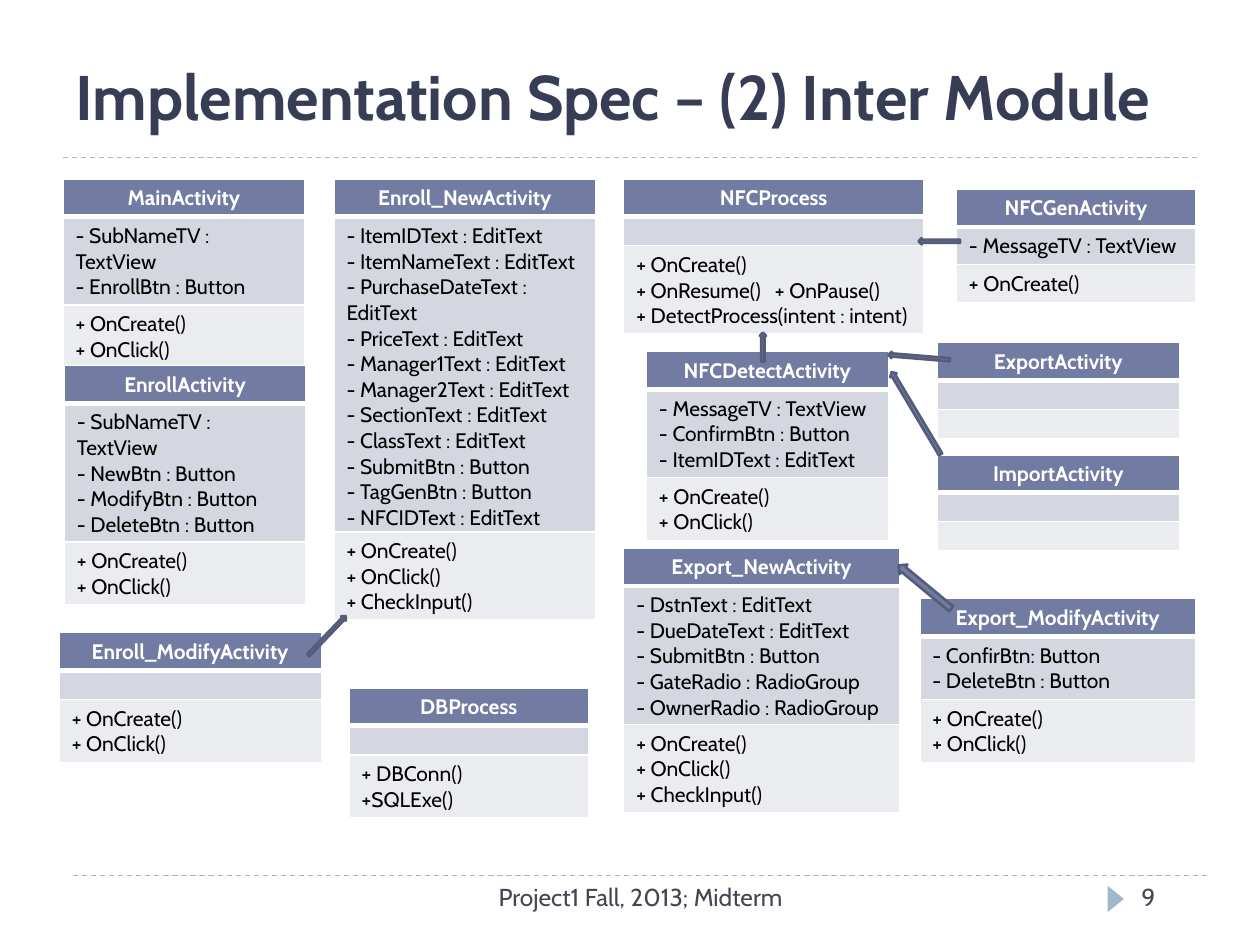
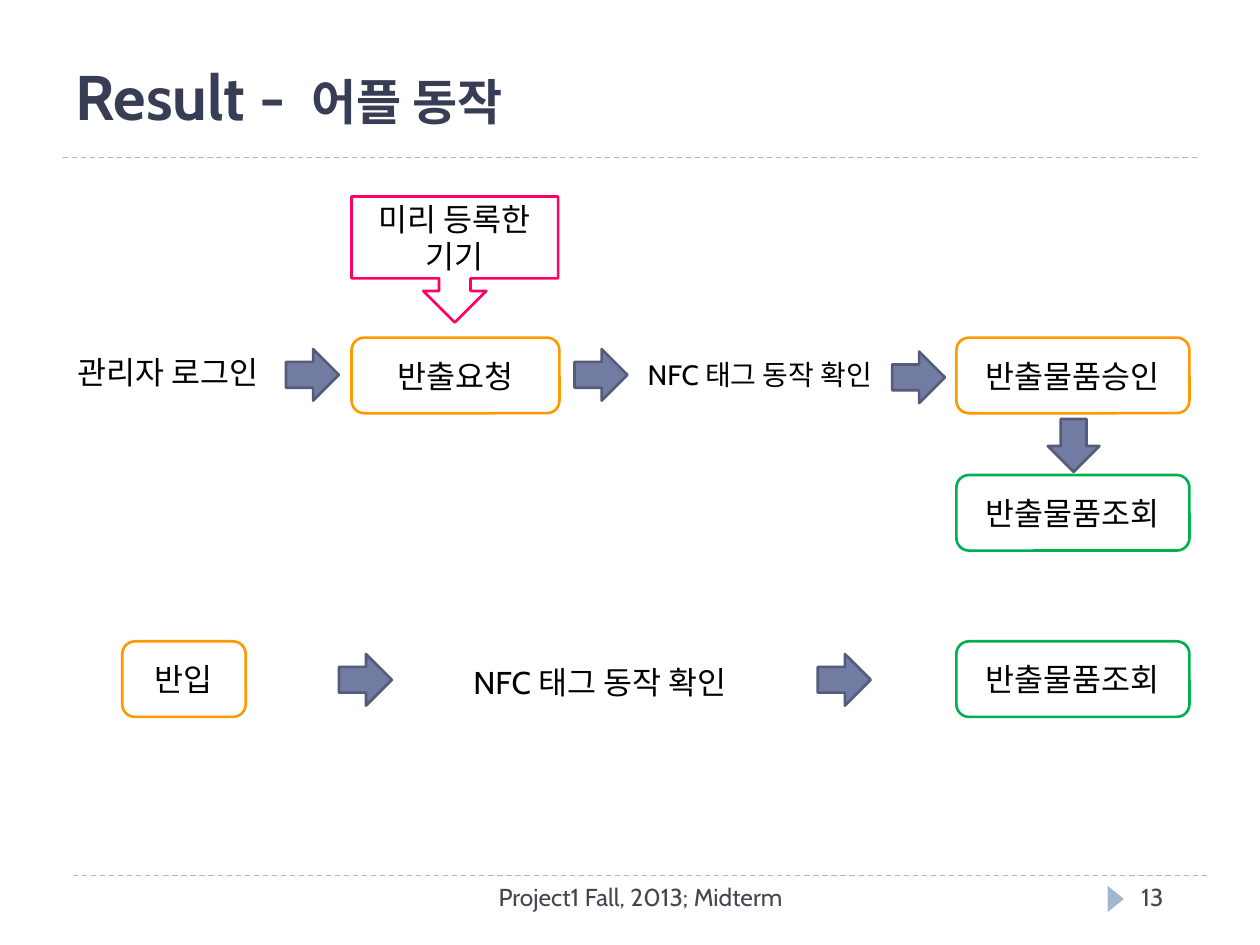
from lxml import etree
from pptx import Presentation
from pptx import util as u
from pptx.dml.color import RGBColor
from pptx.enum import dml, shapes, text
from pptx.oxml import ns

FONT = "Cabin"
SLATE, SLATE_EDGE, PALE_BLUE = "727CA3", "545C79", "9FB8CD"
NAVY, GREY, WHITE, BLACK = "373D54", "464653", "FFFFFF", "000000"
ORANGE, GREEN, PINK = "FF9900", "00B050", "FF0066"
COMPARTMENT_FILLS = [SLATE, "D5D7E0", "EBECF0"]
KINDS = shapes.MSO_SHAPE
CENTER, LEFT = text.PP_ALIGN.CENTER, text.PP_ALIGN.LEFT


def write(paragraph, words, size, color, bold=False, align=LEFT):
    paragraph.alignment = align
    run = paragraph.add_run()
    run.text = words
    run.font.name, run.font.size, run.font.bold = FONT, u.Pt(size), bold
    run.font.color.rgb = RGBColor.from_string(color)


def draw(slide, kind, box, fill, edge=None, turn=0):
    part = slide.shapes.add_shape(kind, *map(u.Inches, box))
    part.shadow.inherit = False
    part.rotation = turn
    part.fill.solid()
    part.fill.fore_color.rgb = RGBColor.from_string(fill)
    if edge:
        part.line.color.rgb = RGBColor.from_string(edge)
        part.line.width = u.Pt(1.5)
    else:
        part.line.fill.background()
    return part


prs = Presentation()
prs.slide_width, prs.slide_height = u.Inches(10), u.Inches(7.5)

pages = [
    ("9", [("Implementation Spec – (2) Inter Module", 36)]),
    ("13", [("Result - ", 36), (" 어플 동작", 28)]),
]
slides = []
for number, title_runs in pages:
    slide = prs.slides.add_slide(prs.slide_layouts[5])
    slides.append(slide)
    for left, top in [(0.58, 6.95), (0.5, 1.25)]:
        rule = slide.shapes.add_connector(
            shapes.MSO_CONNECTOR.STRAIGHT,
            *map(u.Inches, (left, top, left + 9, top)))
        rule.line.color.rgb = RGBColor.from_string(PALE_BLUE)
        rule.line.width = u.Pt(0.75)
        rule.line.dash_style = dml.MSO_LINE.DASH
        etree.SubElement(rule._element.spPr, ns.qn("a:effectLst"))
    draw(slide, KINDS.ISOSCELES_TRIANGLE, (8.75, 7.07, 0.21, 0.13), PALE_BLUE, turn=90)

    title = slide.shapes.title
    title.left, title.top, title.width, title.height = map(u.Inches, (0.5, 0.4, 9, 0.71))
    title.text_frame.vertical_anchor = text.MSO_ANCHOR.BOTTOM
    title.text_frame.auto_size = text.MSO_AUTO_SIZE.NONE
    for words, size in title_runs:
        write(title.text_frame.paragraphs[0], words, size, NAVY, True)

    for words, left, width, align in [
        ("Project1 Fall, 2013; Midterm", 3.17, 3.83, CENTER),
        (number, 8.96, 0.75, LEFT),
    ]:
        footer = slide.shapes.add_textbox(*map(u.Inches, (left, 6.95, width, 0.4)))
        footer.text_frame.word_wrap = True
        write(footer.text_frame.paragraphs[0], words, 14, GREY, align=align)

modules, result = slides

CREATE, CLICK, CHECK = "+ OnCreate()", "+ OnClick()", "+ CheckInput()"
SUB_NAME = "- SubNameTV : TextView"
MESSAGE = "- MessageTV : TextView"
classes = [
    ("MainActivity", 0.5, 1.42, 1.92, [SUB_NAME, "- EnrollBtn : Button"], [CREATE, CLICK]),
    ("EnrollActivity", 0.51, 2.9, 1.92,
     [SUB_NAME, "- NewBtn : Button", "- ModifyBtn : Button", "- DeleteBtn : Button"],
     [CREATE, CLICK]),
    ("Enroll_NewActivity", 2.65, 1.42, 2.08,
     ["- ItemIDText : EditText", "- ItemNameText : EditText",
      "- PurchaseDateText : EditText", "- PriceText : EditText",
      "- Manager1Text : EditText", "- Manager2Text : EditText",
      "- SectionText : EditText", "- ClassText : EditText",
      "- SubmitBtn : Button", "- TagGenBtn : Button", "- NFCIDText : EditText"],
     [CREATE, CLICK, CHECK]),
    ("Enroll_ModifyActivity", 0.47, 5.02, 2.08, [], [CREATE, CLICK]),
    ("NFCProcess", 4.95, 1.42, 2.38, [],
     [CREATE, "+ OnResume()\t+ OnPause()", "+ DetectProcess(intent : intent)"]),
    ("NFCDetectActivity", 5.13, 2.79, 1.92,
     [MESSAGE, "- ConfirmBtn : Button", "- ItemIDText : EditText"], [CREATE, CLICK]),
    ("ExportActivity", 7.44, 2.72, 1.92, [], []),
    ("ImportActivity", 7.44, 3.61, 1.92, [], []),
    ("NFCGenActivity", 7.59, 1.5, 1.9, [MESSAGE], [CREATE]),
    ("DBProcess", 2.77, 5.46, 1.9, [], ["+ DBConn()", "+SQLExe()"]),
    ("Export_NewActivity", 4.95, 4.35, 2.19,
     ["- DstnText : EditText", "- DueDateText : EditText", "- SubmitBtn : Button",
      "- GateRadio : RadioGroup", "- OwnerRadio : RadioGroup"],
     [CREATE, CLICK, CHECK]),
    ("Export_ModifyActivity", 7.3, 4.75, 2.19,
     ["- ConfirBtn: Button", "- DeleteBtn : Button"], [CREATE, CLICK]),
]
for name, left, top, width, fields, methods in classes:
    compartments = [[name], fields, methods]
    heights = [0.1 + 0.2 * len(lines) if lines else 0.23 for lines in compartments]
    card = modules.shapes.add_table(
        3, 1, *map(u.Inches, (left, top, width, sum(heights)))).table
    for row, lines in enumerate(compartments):
        card.rows[row].height = u.Inches(heights[row])
        cell = card.cell(row, 0)
        for side in ("lnL", "lnR", "lnT", "lnB"):
            thick = (row, side) in [(0, "lnB"), (1, "lnT")]
            border = etree.SubElement(cell._tc.get_or_add_tcPr(), ns.qn("a:" + side),
                                      w=str(u.Pt(3 if thick else 1)))
            paint = etree.SubElement(border, ns.qn("a:solidFill"))
            etree.SubElement(paint, ns.qn("a:srgbClr"), val=WHITE)
        cell.fill.solid()
        cell.fill.fore_color.rgb = RGBColor.from_string(COMPARTMENT_FILLS[row])
        for i, line in enumerate(lines):
            frame = cell.text_frame
            paragraph = frame.add_paragraph() if i else frame.paragraphs[0]
            if row == 0:
                write(paragraph, line, 12, WHITE, True, CENTER)
            else:
                write(paragraph, line, 12, BLACK)
            if "\t" in line:
                stops = etree.SubElement(paragraph._p.get_or_add_pPr(), ns.qn("a:tabLst"))
                etree.SubElement(stops, ns.qn("a:tab"), pos=str(u.Inches(1.1)), algn="l")
        if not lines:
            etree.SubElement(cell.text_frame.paragraphs[0]._p,
                             ns.qn("a:endParaRPr"), sz="700")

for kind, box, turn in [
    (KINDS.RIGHT_ARROW, (2.38, 5.02, 0.43, 0.05), 313.8),
    (KINDS.UP_ARROW, (6.03, 2.64, 0.05, 0.23), 0),
    (KINDS.LEFT_ARROW, (7.29, 1.89, 0.33, 0.05), 0),
    (KINDS.LEFT_ARROW, (7.05, 2.81, 0.49, 0.05), 4.7),
    (KINDS.LEFT_ARROW, (6.89, 3.25, 0.76, 0.06), 59.2),
    (KINDS.LEFT_ARROW, (7.07, 4.61, 0.54, 0.1), 39.6),
]:
    draw(modules, kind, box, SLATE, SLATE_EDGE, turn)

ROUND = KINDS.ROUNDED_RECTANGLE
for words, kind, box, edge in [
    ("반출요청", ROUND, (2.79, 2.68, 1.65, 0.6), ORANGE),
    ("반출물품조회", ROUND, (7.59, 3.77, 1.85, 0.6), GREEN),
    ("반출물품승인", ROUND, (7.59, 2.68, 1.85, 0.6), ORANGE),
    ("반입", ROUND, (0.97, 5.09, 0.98, 0.6), ORANGE),
    ("반출물품조회", ROUND, (7.59, 5.09, 1.85, 0.6), GREEN),
    ("미리 등록한 기기", KINDS.DOWN_ARROW_CALLOUT, (2.79, 1.56, 1.64, 1), PINK),
]:
    step = draw(result, kind, box, WHITE, edge)
    step.text_frame.word_wrap = True
    step.text_frame.vertical_anchor = text.MSO_ANCHOR.MIDDLE
    write(step.text_frame.paragraphs[0], words, 18, BLACK, align=CENTER)

for words, box, size, align, wrap in [
    ("관리자 로그인", (0.52, 2.75, 1.79, 0.4), 18, LEFT, False),
    ("NFC 태그 동작 확인", (4.93, 2.79, 2.2, 0.37), 16, CENTER, True),
    ("NFC 태그 동작 확인", (3.34, 5.21, 2.84, 0.4), 18, CENTER, True),
]:
    action = result.shapes.add_textbox(*map(u.Inches, box))
    action.text_frame.word_wrap = wrap
    action.text_frame.auto_size = text.MSO_AUTO_SIZE.SHAPE_TO_FIT_TEXT
    write(action.text_frame.paragraphs[0], words, size, BLACK, align=align)

for left, top, turn in [
    (2.27, 2.77, 0), (4.56, 2.77, 0), (7.08, 2.79, 0),
    (8.31, 3.33, 90), (2.69, 5.19, 0), (6.49, 5.19, 0),
]:
    draw(result, KINDS.RIGHT_ARROW, (left, top, 0.42, 0.41), SLATE, SLATE_EDGE, turn)

prs.save("out.pptx")
